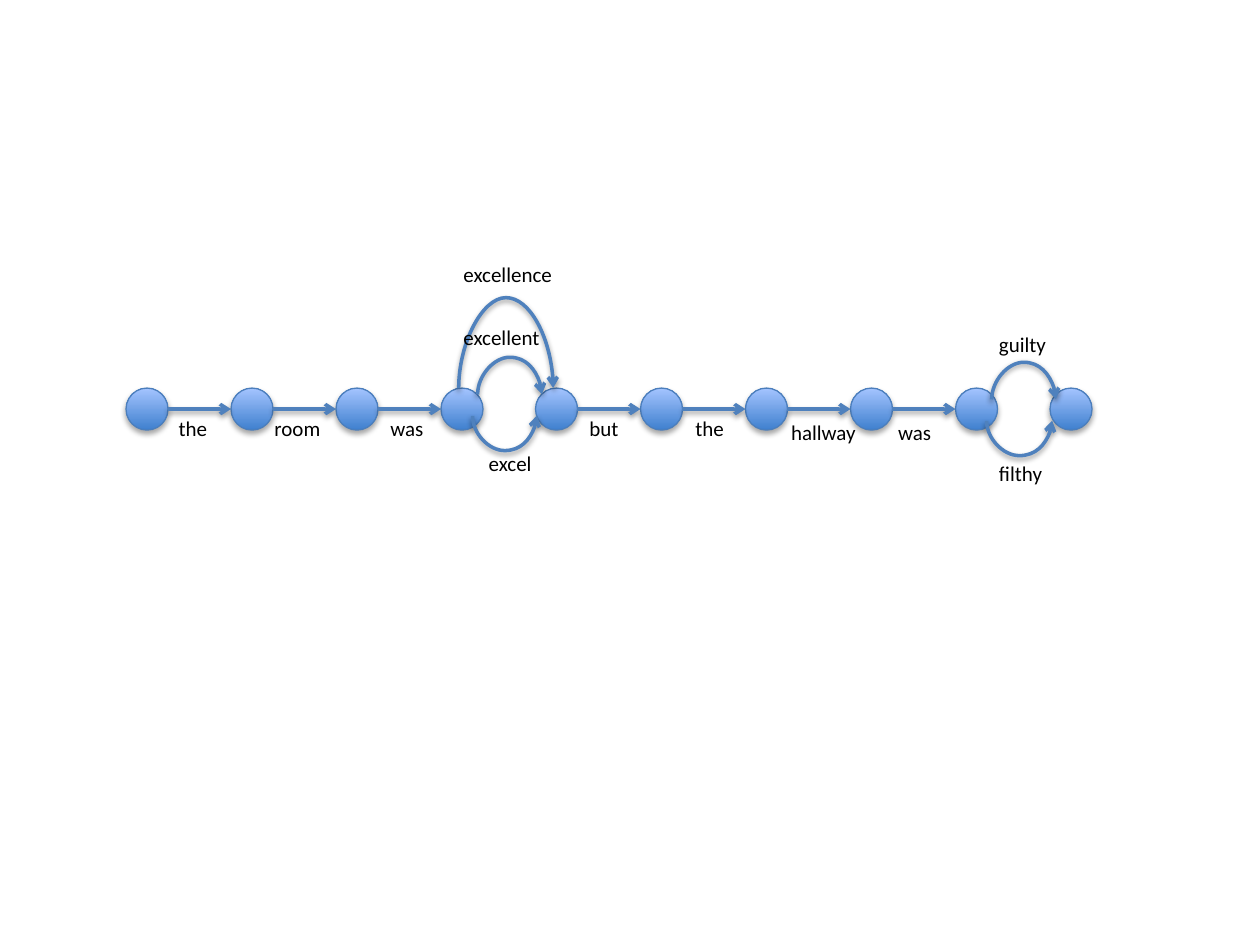
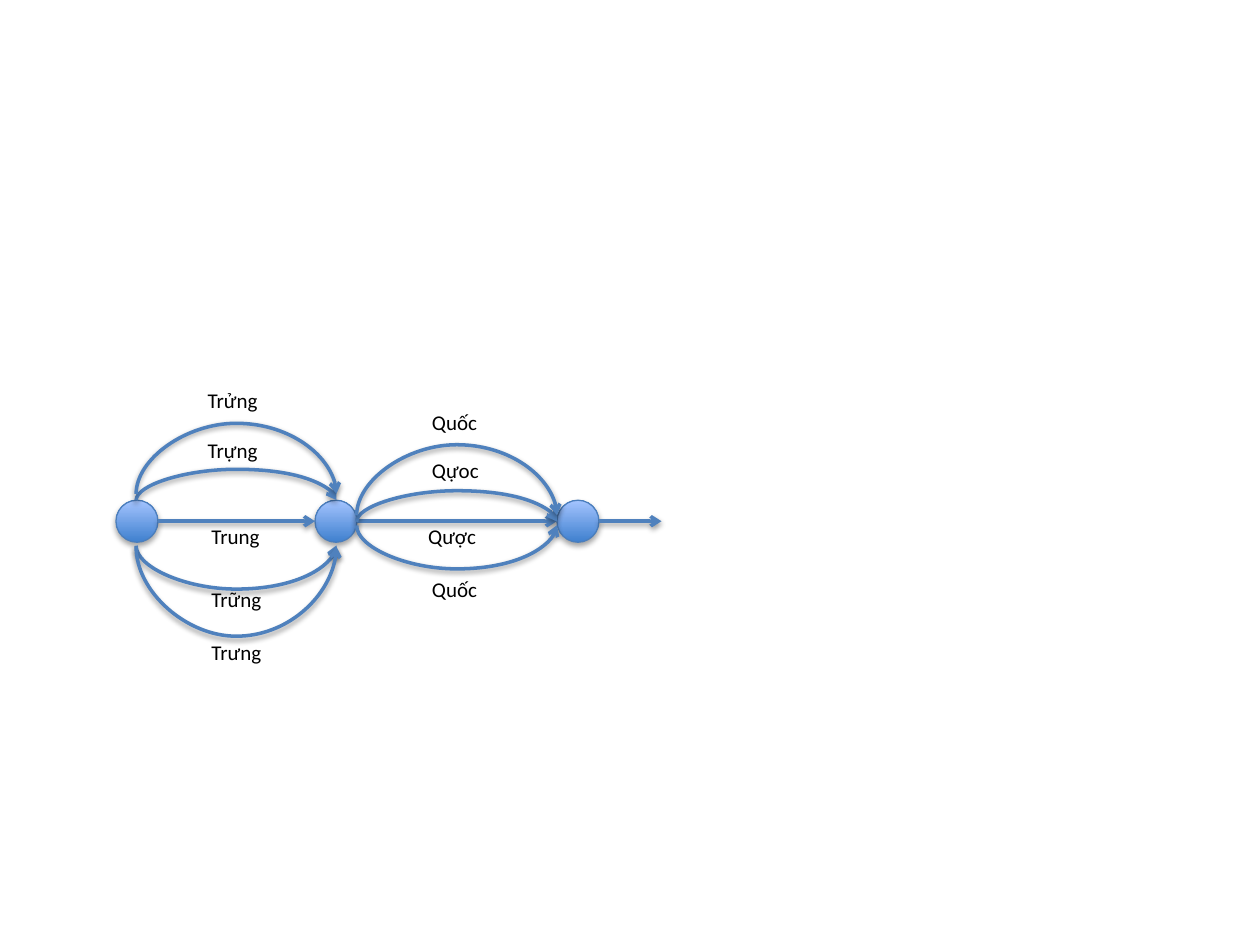
from itertools import accumulate, pairwise

from lxml.etree import SubElement
from pptx import Presentation
from pptx.dml.color import RGBColor
from pptx.enum.shapes import MSO_CONNECTOR as LINK, MSO_SHAPE as SHAPE
from pptx.enum.text import MSO_AUTO_SIZE as AUTO
from pptx.oxml.ns import qn
from pptx.util import Inches, Pt

ARROW, OUTLINE, INK = "4F81BD", "4B7EBC", "000000"
NODE_BOTTOM, NODE_TOP = "3F80CE", "A4C4FF"
FONT = "Calibri"
NODE = 1 / 3          # diameter of a node
LABEL_H = 0.3
THIN = 0.002          # box depth of a curved connector before its bend
STEP, FORK = 5 / 6, 0.75

# nodes: left edges; links: straight arrows as (from x, to x)
# arcs: (from x, to x, y, rise), a negative rise bends down
# labels: (text, left, top, width)
sentence_nodes = list(accumulate([1] + [STEP] * 3 + [FORK] + [STEP] * 4 + [FORK]))
word_nodes = [0.92, 2.5, 4.42]


def links_between(nodes, shortest):
    """Join neighbouring nodes that are at least the shortest hop apart."""
    return [(a + NODE, b) for a, b in pairwise(nodes) if b - a > shortest]


LATTICES = [
    {
        "top": 3.08,
        "nodes": sentence_nodes,
        "links": links_between(sentence_nodes, 0.8),
        "arcs": [
            (3.79, 4.3, 3.13, 0.3), (3.75, 4.26, 3.3, -0.28),
            (7.87, 8.38, 3.17, 0.3), (7.83, 8.35, 3.34, -0.28),
            (3.64, 4.39, 3.08, 0.73),
        ],
        "labels": [
            ("the", 1.32, 3.25, 0.43), ("room", 2.08, 3.25, 0.57),
            ("was", 3, 3.25, 0.47), ("but", 4.58, 3.25, 0.44),
            ("the", 5.42, 3.25, 0.43), ("hallway", 6.18, 3.28, 0.73),
            ("was", 7.03, 3.28, 0.47), ("excel", 3.78, 3.53, 0.55),
            ("excellent", 3.58, 2.53, 0.81), ("excellence", 3.58, 2.03, 0.92),
            ("filthy", 7.83, 3.61, 0.55), ("guilty", 7.83, 2.58, 0.58),
        ],
    },
    {
        "top": 3.97,
        "nodes": word_nodes,
        "links": links_between(word_nodes, 0.8) + [(4.75, 5.25)],
        "arcs": [
            (1.08, 2.67, 3.97, 0.25), (1.08, 2.67, 3.92, 0.57),
            (1.08, 2.67, 4.33, -0.35), (1.08, 2.67, 4.34, -0.72),
            (2.83, 4.42, 4.14, 0.25), (2.83, 4.42, 4.09, 0.57),
            (2.83, 4.42, 4.17, -0.35),
        ],
        "labels": [
            ("Trung", 1.58, 4.11, 0.59), ("Trững", 1.58, 4.61, 0.61),
            ("Trưng", 1.58, 5.03, 0.61), ("Trựng", 1.55, 3.42, 0.61),
            ("Trửng", 1.55, 3.03, 0.61), ("Qựoc", 3.33, 3.58, 0.59),
            ("Quốc", 3.33, 3.2, 0.59), ("Qược", 3.3, 4.11, 0.61),
            ("Quốc", 3.33, 4.53, 0.58),
        ],
    },
]


def color(hex_text):
    """Turn a hex string into a colour."""
    return RGBColor.from_string(hex_text)


def add_shadow(sp, distance, opacity):
    """Give a shape or connector a soft shadow straight below it."""
    effects = SubElement(sp._element.spPr, qn("a:effectLst"))
    shadow = SubElement(effects, qn("a:outerShdw"), blurRad="40000",
                        dist=str(Pt(distance)), dir="5400000", rotWithShape="0")
    tint = SubElement(shadow, qn("a:srgbClr"), val=INK)
    SubElement(tint, qn("a:alpha"), val=str(opacity * 1000))


def add_node(slide, left, top):
    """Draw one round state."""
    sp = slide.shapes.add_shape(SHAPE.OVAL, Inches(left), Inches(top),
                                Inches(NODE), Inches(NODE))
    sp.fill.gradient()
    sp.fill.gradient_angle = 90
    for stop, hex_text, position in zip(sp.fill.gradient_stops,
                                        (NODE_BOTTOM, NODE_TOP), (0, 1)):
        stop.color.rgb = color(hex_text)
        stop.position = position
    sp.line.color.rgb = color(OUTLINE)
    sp.line.width = Pt(0.75)
    add_shadow(sp, 1.8, 35)


def add_arrow(slide, kind, x1, y1, x2, y2):
    """Draw a connector with an open arrowhead at its end."""
    link = slide.shapes.add_connector(kind, *map(Inches, (x1, y1, x2, y2)))
    link.line.color.rgb = color(ARROW)
    link.line.width = Pt(2)
    SubElement(link.line._get_or_add_ln(), qn("a:tailEnd"), type="arrow")
    add_shadow(link, 1.6, 38)
    return link


def add_arc(slide, x1, x2, y, rise):
    """Draw a curved arrow: a thin upright connector turned by 90 degrees."""
    middle, half = (x1 + x2) / 2, (x2 - x1) / 2
    arc = add_arrow(slide, LINK.CURVE, middle + THIN / 2, y + half,
                    middle - THIN / 2, y - half)
    sp_pr = arc._element.spPr
    sp_pr.find(qn("a:xfrm")).set("rot", "5400000")
    guides = sp_pr.find(qn("a:prstGeom")).find(qn("a:avLst"))
    SubElement(guides, qn("a:gd"), name="adj1",
               fmla=f"val {round(rise / THIN * 100000)}")


def add_label(slide, text, left, top, width):
    """Write the word that belongs to an arrow."""
    tf = slide.shapes.add_textbox(*map(Inches, (left, top, width, LABEL_H))).text_frame
    tf.word_wrap = False
    tf.auto_size = AUTO.SHAPE_TO_FIT_TEXT
    tf.text = text
    font = tf.paragraphs[0].runs[0].font
    font.name, font.size = FONT, Pt(12)
    font.color.rgb = color(INK)


def add_lattice(prs, lattice):
    """Build one slide with a word lattice."""
    slide = prs.slides.add_slide(prs.slide_layouts[6])
    top = lattice["top"]
    axis = top + NODE / 2
    for left in lattice["nodes"]:
        add_node(slide, left, top)
    for x1, x2 in lattice["links"]:
        add_arrow(slide, LINK.STRAIGHT, x1, axis, x2, axis)
    for arc in lattice["arcs"]:
        add_arc(slide, *arc)
    for label in lattice["labels"]:
        add_label(slide, *label)


prs = Presentation()
prs.slide_width, prs.slide_height = Inches(10), Inches(7.5)
for lattice in LATTICES:
    add_lattice(prs, lattice)
prs.save("out.pptx")
